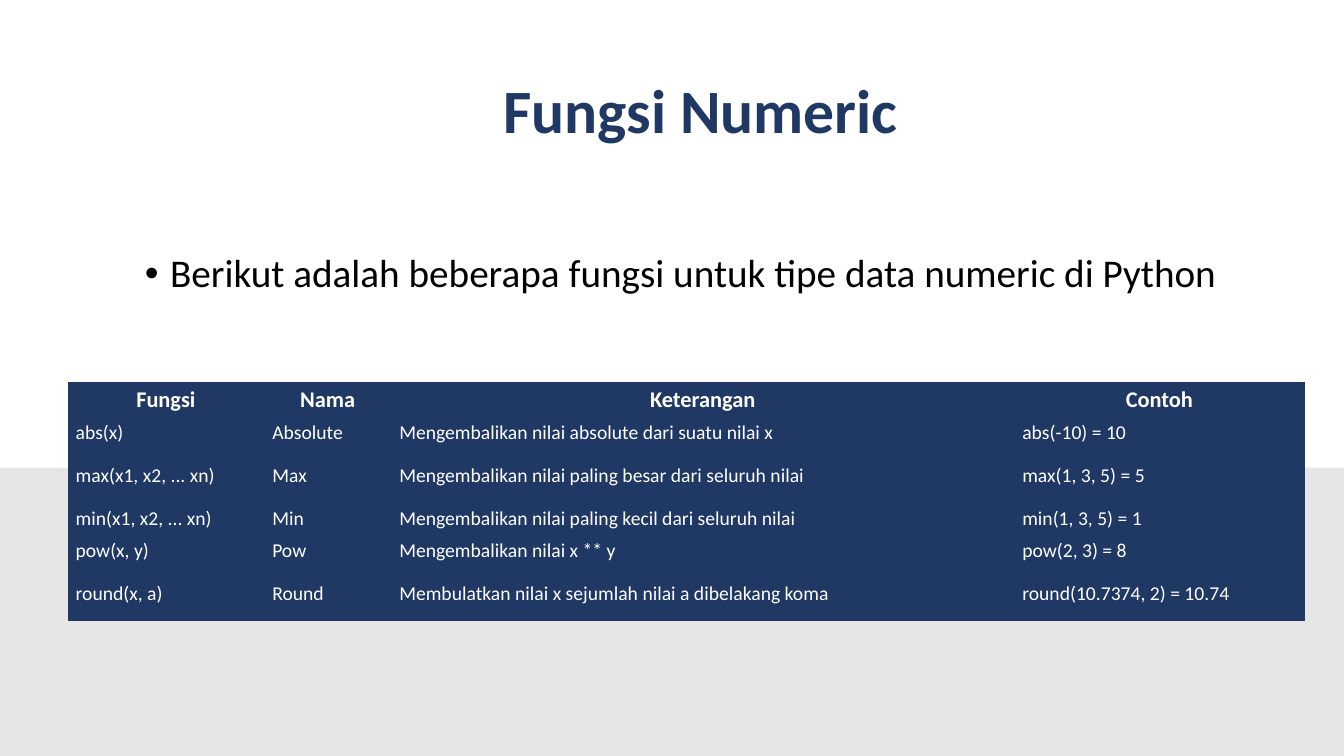
"""Build a slide that lists the numeric functions of Python in a table."""
from dataclasses import dataclass

from lxml import etree
from pptx import Presentation
from pptx.dml.color import RGBColor
from pptx.enum import shapes, text
from pptx.oxml import ns
from pptx import util as u

WIDTH, HEIGHT = u.Inches(13.33), u.Inches(7.5)
FONT = "Calibri"
NAVY, WHITE, BLACK, GREY = "203864", "FFFFFF", "000000", "E7E6E6"
NO_GRID_STYLE = "{2D5ABB26-0587-4C30-8999-92F81FD0307C}"
HEADER = ("Fungsi", "Nama", "Keterangan", "Contoh")
COLUMN_SHARES = (14.63, 9.45, 46.36, 21.6)
HEADER_SHARE, SHORT_SHARE, TALL_SHARE = 4.6, 4.2, 7.2


@dataclass(frozen=True)
class Area:
    """A rectangle in percent of the slide's width and height."""
    left: float
    top: float
    width: float
    height: float

    def lengths(self) -> tuple[int, int, int, int]:
        """Return left, top, width and height as slide lengths."""
        return (across(self.left), down(self.top),
                across(self.width), down(self.height))


@dataclass(frozen=True)
class NumericFunction:
    """One function with its name, meaning, example and row height."""
    call: str
    name: str
    meaning: str
    example: str
    height: float = SHORT_SHARE

    def cells(self) -> tuple[str, ...]:
        """Return the texts of the row from left to right."""
        return self.call, self.name, self.meaning, self.example


FUNCTIONS = (
    NumericFunction("abs(x)", "Absolute",
                    "Mengembalikan nilai absolute dari suatu nilai x", "abs(-10) = 10"),
    NumericFunction("max(x1, x2, ... xn)", "Max",
                    "Mengembalikan nilai paling besar dari seluruh nilai",
                    "max(1, 3, 5) = 5", TALL_SHARE),
    NumericFunction("min(x1, x2, ... xn)", "Min",
                    "Mengembalikan nilai paling kecil dari seluruh nilai", "min(1, 3, 5) = 1"),
    NumericFunction("pow(x, y)", "Pow", "Mengembalikan nilai x ** y", "pow(2, 3) = 8"),
    NumericFunction("round(x, a)", "Round",
                    "Membulatkan nilai x sejumlah nilai a dibelakang koma",
                    "round(10.7374, 2) = 10.74", TALL_SHARE),
)
BAND = Area(0, 61.87, 100, 38.13)
TITLE = Area(27.38, 5.33, 49.51, 19.33)
INTRO = Area(10.05, 32.93, 84.17, 35.2)
TABLE = Area(5.03, 50.53, sum(COLUMN_SHARES),
             HEADER_SHARE + sum(function.height for function in FUNCTIONS))


def across(share: float) -> int:
    """Turn a percentage of the slide's width into a length."""
    return round(WIDTH * share / 100)


def down(share: float) -> int:
    """Turn a percentage of the slide's height into a length."""
    return round(HEIGHT * share / 100)


def colour(code: str) -> RGBColor:
    """Turn a hex string into a colour."""
    return RGBColor.from_string(code)


def write(frame, words: str, *, size: float, ink: str, bold: bool = False,
          align=text.PP_ALIGN.LEFT, line: float = 1.0, before: float = 0):
    """Put formatted words into a text frame and return the paragraph."""
    para = frame.paragraphs[0]
    para.alignment, para.line_spacing, para.space_before = align, line, u.Pt(before)
    span = para.add_run()
    span.text = words
    span.font.name, span.font.size, span.font.bold = FONT, u.Pt(size), bold
    span.font.color.rgb = colour(ink)
    return para


def add_band(page) -> None:
    """Draw the grey band along the foot of the slide."""
    band = page.shapes.add_shape(shapes.MSO_SHAPE.RECTANGLE, *BAND.lengths())
    band.shadow.inherit = False
    band.fill.solid()
    band.fill.fore_color.rgb = colour(GREY)
    band.line.fill.background()


def add_title(page, words: str) -> None:
    """Move the title placeholder and fill it."""
    title = page.shapes.title
    title.left, title.top, title.width, title.height = TITLE.lengths()
    title.text_frame.vertical_anchor = text.MSO_ANCHOR.MIDDLE
    write(title.text_frame, words, size=44, ink=NAVY, bold=True,
          align=text.PP_ALIGN.CENTER, line=0.9)


def add_intro(page, words: str) -> None:
    """Add the bulleted sentence above the table."""
    box = page.shapes.add_textbox(*INTRO.lengths())
    box.text_frame.word_wrap = True
    para = write(box.text_frame, words, size=28, ink=BLACK, line=0.9, before=10)
    properties = para._p.get_or_add_pPr()
    indent = u.Inches(0.25)
    properties.set("marL", str(indent))
    properties.set("indent", str(-indent))
    etree.SubElement(properties, ns.qn("a:buFont")).set("typeface", "Arial")
    etree.SubElement(properties, ns.qn("a:buChar")).set("char", "•")


def fill_cell(cell, words: str, **style) -> None:
    """Colour a table cell and write its text."""
    cell.fill.solid()
    cell.fill.fore_color.rgb = colour(NAVY)
    cell.vertical_anchor = text.MSO_ANCHOR.MIDDLE
    cell.margin_left = cell.margin_right = u.Inches(0.08)
    cell.margin_top = cell.margin_bottom = u.Inches(0.04)
    write(cell.text_frame, words, ink=WHITE, **style)


def add_function_table(page) -> None:
    """Add the table of functions below its header row."""
    rows = (HEADER, *(function.cells() for function in FUNCTIONS))
    heights = (HEADER_SHARE, *(function.height for function in FUNCTIONS))
    table = page.shapes.add_table(len(rows), len(HEADER), *TABLE.lengths()).table
    table.horz_banding = False
    table._tbl.tblPr.find(ns.qn("a:tableStyleId")).text = NO_GRID_STYLE
    for column, share in zip(table.columns, COLUMN_SHARES):
        column.width = across(share)
    for row, share in zip(table.rows, heights):
        row.height = down(share)
    header_style = dict(size=16, bold=True, align=text.PP_ALIGN.CENTER)
    for number, (row, texts) in enumerate(zip(table.rows, rows)):
        style = dict(size=14) if number else header_style
        for cell, words in zip(row.cells, texts):
            fill_cell(cell, words, **style)


def main() -> None:
    """Build and save the deck."""
    deck = Presentation()
    deck.slide_width, deck.slide_height = WIDTH, HEIGHT
    page = deck.slides.add_slide(deck.slide_layouts.get_by_name("Title Only"))
    add_band(page)
    add_title(page, "Fungsi Numeric")
    add_intro(page, "Berikut adalah beberapa fungsi untuk tipe data numeric di Python")
    add_function_table(page)
    deck.save("out.pptx")


if __name__ == "__main__":
    main()
